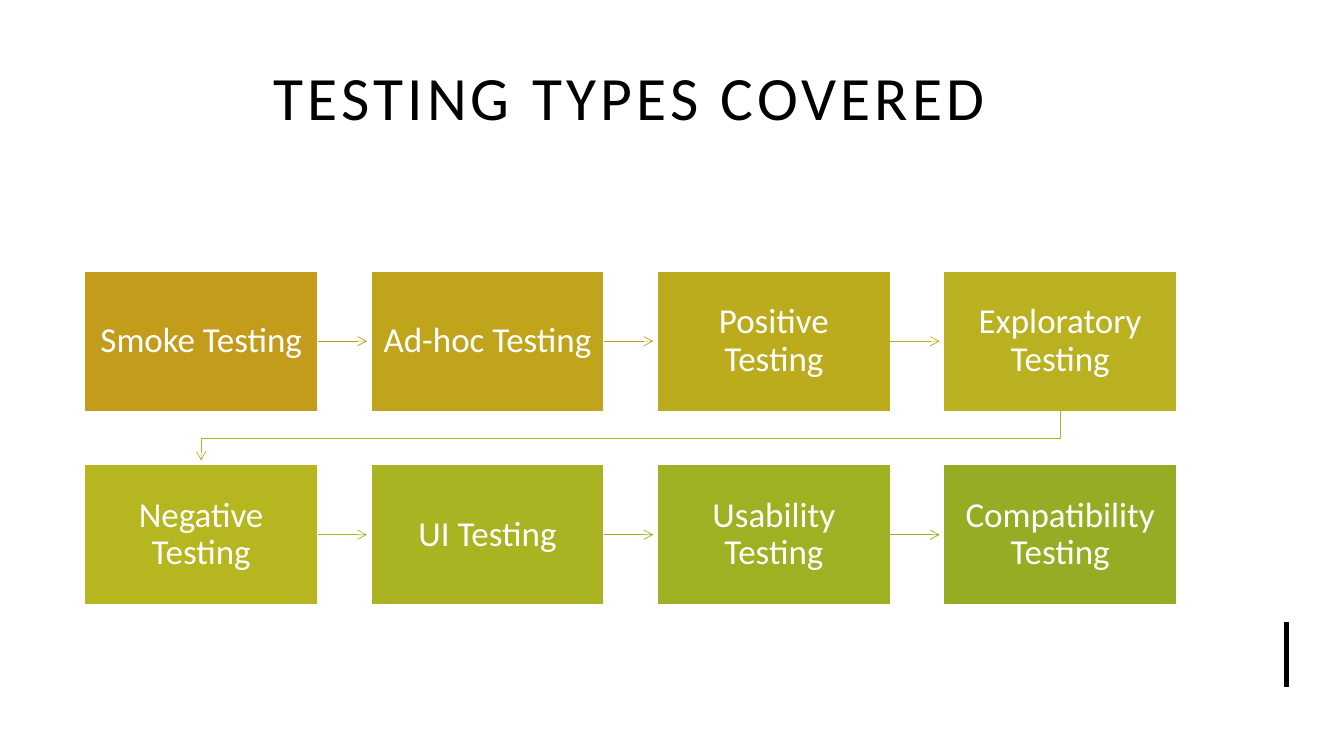
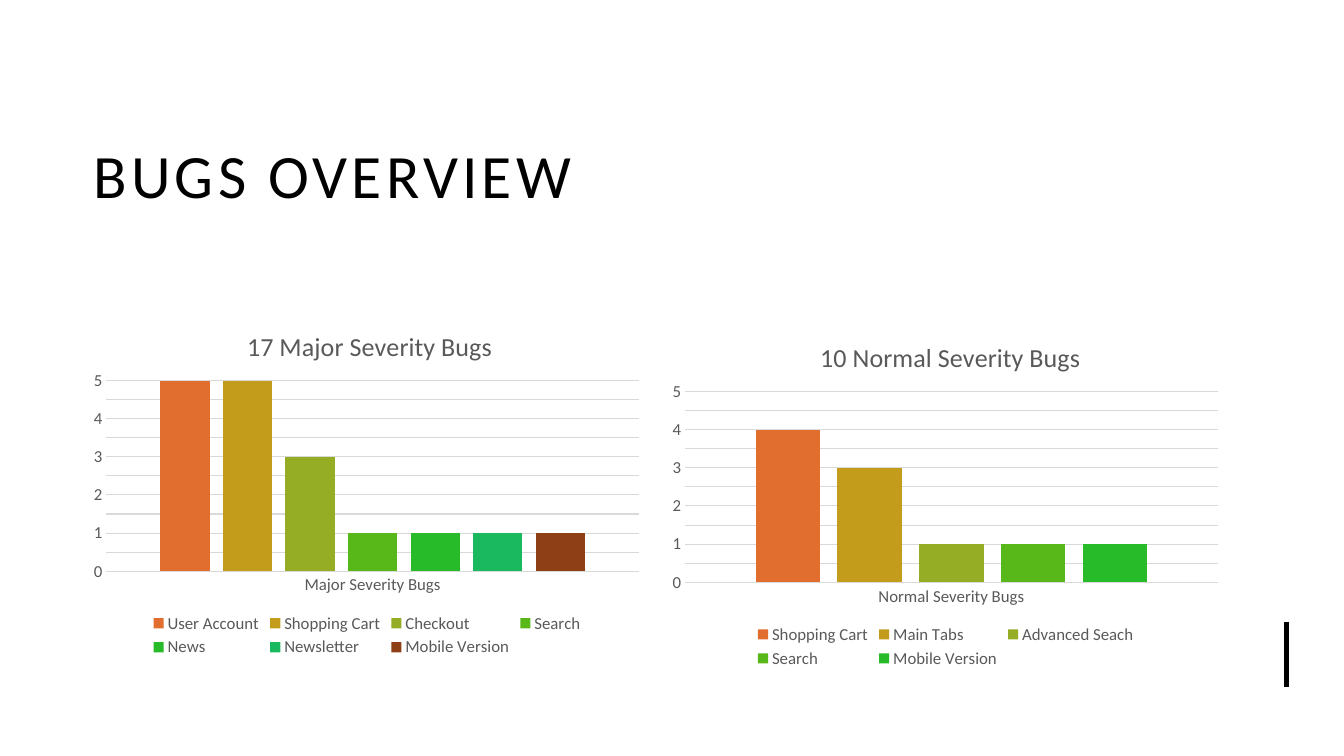
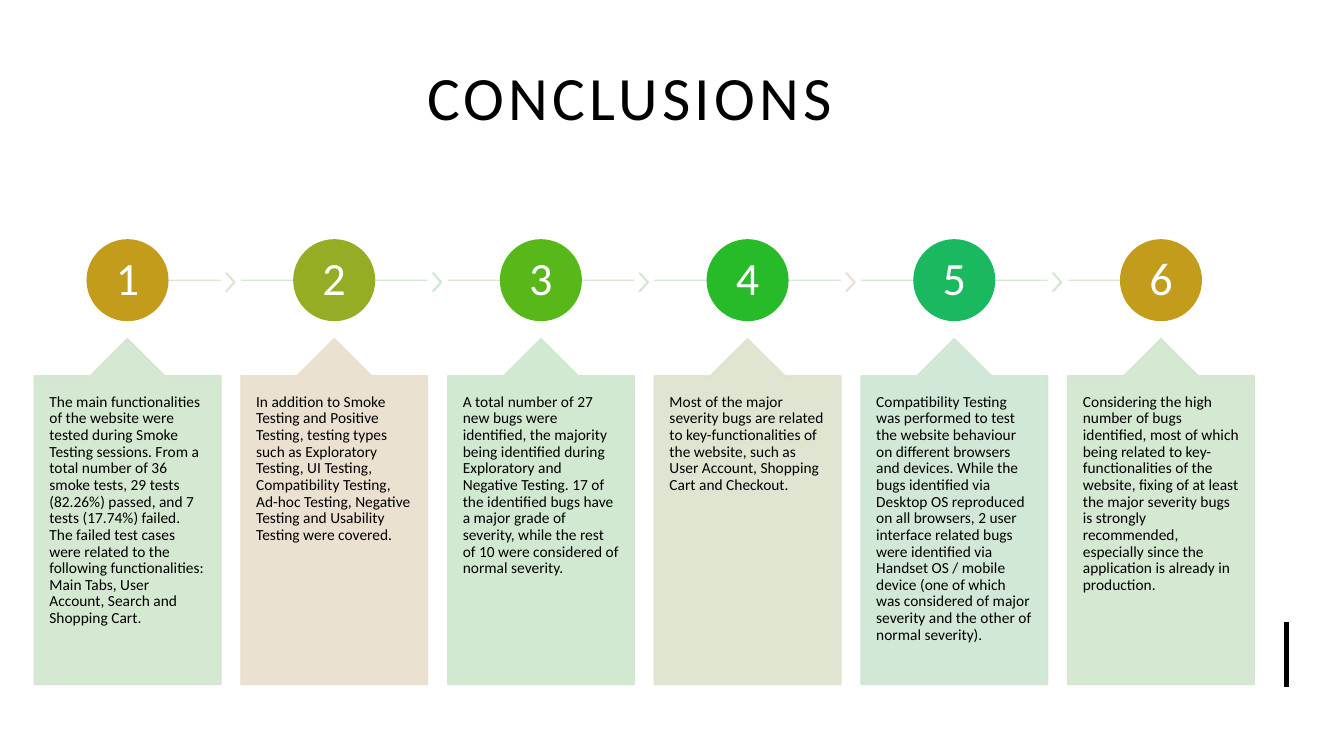
from copy import deepcopy

from lxml.etree import SubElement
from pptx import Presentation
from pptx.chart.data import CategoryChartData
from pptx.dml.color import RGBColor
from pptx.enum.chart import XL_CHART_TYPE, XL_LEGEND_POSITION, XL_TICK_MARK
from pptx.enum.shapes import MSO_CONNECTOR, MSO_SHAPE
from pptx.enum.text import MSO_ANCHOR, PP_ALIGN
from pptx.oxml import parse_xml
from pptx.oxml.ns import nsdecls, qn
from pptx.util import Inches, Pt

FONT = "Calibri"
COLORS = {
    "black": "000000", "white": "FFFFFF", "grey": "595959", "grid": "D9D9D9",
    "orange": "E16D2F", "gold": "C39C1B", "olive": "94AD24", "lime": "59B819",
    "green": "27BB29", "teal": "1AB95F", "brown": "8F3F15",
}
SERIES = ["orange", "gold", "olive", "lime", "green", "teal", "brown"]
STEPS = ["gold", "olive", "lime", "green", "teal"]
TINTS = ["E9DECD", "DCE3CD", "D1E6CC", "CDE7CD", "CDE6D2"]

TESTS = [
    ("Smoke Testing", "C39C1B"), ("Ad-hoc Testing", "C0A41C"),
    ("Positive Testing", "BDAB1E"), ("Exploratory Testing", "B9B11F"),
    ("Negative Testing", "B6B620"), ("UI Testing", "AAB322"),
    ("Usability Testing", "9FB023"), ("Compatibility Testing", "94AD24"),
]
ARROWS = ["C39C1B", "BFA51D", "BCAD1E", "B8B420", "AEB421", "A0B123", "94AD24"]

MAJOR = {"User Account": 5, "Shopping Cart": 5, "Checkout": 3, "Search": 1,
         "News": 1, "Newsletter": 1, "Mobile Version": 1}
NORMAL = {"Shopping Cart": 4, "Main Tabs": 3, "Advanced Seach": 1, "Search": 1,
          "Mobile Version": 1}

CONCLUSIONS = [
    "The main functionalities of the website were tested during Smoke Testing "
    "sessions. From a total number of 36 smoke tests, 29 tests (82.26%) passed, "
    "and 7 tests (17.74%) failed. The failed test cases were related to the "
    "following functionalities: Main Tabs, User Account, Search and Shopping Cart.",
    "In addition to Smoke Testing and Positive Testing, testing types such as "
    "Exploratory Testing, UI Testing, Compatibility Testing, Ad-hoc Testing, "
    "Negative Testing and Usability Testing were covered.",
    "A total number of 27 new bugs were identified, the majority being identified "
    "during Exploratory and Negative Testing. 17 of the identified bugs have a "
    "major grade of severity, while the rest of 10 were considered of normal "
    "severity.",
    "Most of the major severity bugs are related to key-functionalities of the "
    "website, such as User Account, Shopping Cart and Checkout.",
    "Compatibility Testing was performed to test the website behaviour on "
    "different browsers and devices. While the bugs identified via Desktop OS "
    "reproduced on all browsers, 2 user interface related bugs were identified "
    "via Handset OS / mobile device (one of which was considered of major "
    "severity and the other of normal severity).",
    "Considering the high number of bugs identified, most of which being related "
    "to key-functionalities of the website, fixing of at least the major severity "
    "bugs is strongly recommended, especially since the application is already in "
    "production.",
]


# Formatting helpers
def rgb(color):
    return RGBColor.from_string(COLORS.get(color, color))


def set_values(obj, values):
    for name, value in values.items():
        setattr(obj, name, value)


def set_font(font, size, color):
    set_values(font, {"name": FONT, "size": Pt(size), "bold": False})
    font.color.rgb = rgb(color)


def set_line(line, color, width):
    line.color.rgb = rgb(color)
    line.width = Pt(width)


def add_arrowhead(line):
    SubElement(line._get_or_add_ln(), qn("a:tailEnd"), type="arrow")


def set_opacity(shape, percent):
    for clr in list(shape._element.spPr.iter(qn("a:srgbClr"))):
        SubElement(clr, qn("a:alpha"), val=str(percent * 1000))


def write(shape, text, size, color, align=PP_ALIGN.CENTER,
          anchor=MSO_ANCHOR.MIDDLE, insets=(0.1, 0.05), spacing=0.9):
    tf = shape.text_frame
    x, y = map(Inches, insets)
    set_values(tf, {"word_wrap": True, "vertical_anchor": anchor,
                    "margin_left": x, "margin_right": x,
                    "margin_top": y, "margin_bottom": y})
    p = tf.paragraphs[0]
    set_values(p, {"alignment": align, "line_spacing": spacing})
    r = p.add_run()
    r.text = text
    set_font(r.font, size, color)
    return r


# Elements
def add_block(s, kind, box, fill, line, adjustments=()):
    sp = s.shapes.add_shape(kind, *map(Inches, box))
    sp.shadow.inherit = False
    sp.fill.solid()
    sp.fill.fore_color.rgb = rgb(fill)
    set_line(sp.line, line, 1)
    for i, value in enumerate(adjustments):
        sp.adjustments[i] = value
    return sp


def add_rule(s, x1, y1, x2, y2, color, width):
    c = s.shapes.add_connector(MSO_CONNECTOR.STRAIGHT,
                               *map(Inches, (x1, y1, x2, y2)))
    set_line(c.line, color, width)
    SubElement(c._element.spPr, qn("a:effectLst"))
    return c


def add_slide(prs, title, box, align=PP_ALIGN.CENTER):
    s = prs.slides.add_slide(prs.slide_layouts[6])
    r = write(s.shapes.add_textbox(*map(Inches, box)), title, 44, "black",
              align, spacing=1.0)
    r._r.get_or_add_rPr().set("spc", "300")
    add_rule(s, 12.76, 6.17, 12.76, 6.82, "black", 3)
    return s


def set_layout(parent, **fractions):
    old = parent.find(qn("c:layout"))
    index = 0
    if old is not None:
        index = parent.index(old)
        parent.remove(old)
    inner = '<c:layoutTarget val="inner"/>' if "w" in fractions else ""
    modes = "".join(f'<c:{k}Mode val="edge"/>' for k in "xy")
    sizes = "".join(f'<c:{k} val="{v}"/>' for k, v in fractions.items())
    parent.insert(index, parse_xml(
        f'<c:layout {nsdecls("c")}><c:manualLayout>{inner}{modes}{sizes}'
        '</c:manualLayout></c:layout>'))


def add_bug_chart(s, x, y, category, bugs, title_x):
    data = CategoryChartData()
    data.categories = [category]
    for name, count in bugs.items():
        data.add_series(name, [count])
    chart = s.shapes.add_chart(XL_CHART_TYPE.COLUMN_CLUSTERED,
                               *map(Inches, (x, y, 5.62, 3.57)), data).chart
    set_font(chart.font, 12, "grey")

    # Title and legend
    title = chart.chart_title
    p = title.text_frame.paragraphs[0]
    r = p.add_run()
    r.text = f"{sum(bugs.values())} {category}"
    set_font(r.font, 18.6, "grey")
    set_layout(title._element, x=title_x, y=0.06)
    chart.has_legend = True
    set_values(chart.legend, {"position": XL_LEGEND_POSITION.BOTTOM,
                              "include_in_layout": False})
    set_font(chart.legend.font, 12, "grey")

    # Columns
    plot = chart.plots[0]
    set_values(plot, {"gap_width": 219, "overlap": -27,
                      "vary_by_categories": False})
    for series, color in zip(plot.series, SERIES):
        series.format.fill.solid()
        series.format.fill.fore_color.rgb = rgb(color)

    # Axes
    for axis in (chart.category_axis, chart.value_axis):
        set_values(axis, {"major_tick_mark": XL_TICK_MARK.NONE,
                          "minor_tick_mark": XL_TICK_MARK.NONE})
        set_font(axis.tick_labels.font, 12, "grey")
    set_line(chart.category_axis.format.line, "grid", 0.75)
    values = chart.value_axis
    set_values(values, {"minimum_scale": 0, "maximum_scale": 5,
                        "major_unit": 1, "minor_unit": 0.5,
                        "has_major_gridlines": True,
                        "has_minor_gridlines": True})
    values.format.line.fill.background()
    set_line(values.major_gridlines.format.line, "grid", 0.75)
    major, minor = [values._element.find(qn(f"c:{k}Gridlines"))
                    for k in ("major", "minor")]
    minor.append(deepcopy(major.find(qn("c:spPr"))))
    set_layout(chart._chartSpace.chart.plotArea,
               x=0.04, y=0.22, w=0.94, h=0.53)


def add_turn_arrow(s, points, color):
    start, *rest = [(Inches(x), Inches(y)) for x, y in points]
    builder = s.shapes.build_freeform(*start)
    builder.add_line_segments(rest, close=False)
    sp = builder.convert_to_shape()
    sp.shadow.inherit = False
    sp.fill.background()
    set_line(sp.line, color, 0.5)
    add_arrowhead(sp.line)


# Slides
def build_testing_types(prs, title_box):
    s = add_slide(prs, "TESTING TYPES COVERED", title_box)
    w, h, cols = 2.31, 1.39, 4
    spots = [(0.84 + 2.84 * (i % cols), 2.69 + 1.92 * (i // cols))
             for i in range(len(TESTS))]
    boxes = []
    for (name, color), (x, y) in zip(TESTS, spots):
        sp = add_block(s, MSO_SHAPE.RECTANGLE, (x, y, w, h), color, "white")
        write(sp, name, 25, "white", insets=(0.11, 0.12))
        boxes.append(sp)
    for i, color in enumerate(ARROWS):
        (x, y), (next_x, next_y) = spots[i:i + 2]
        if y == next_y:
            mid = y + h / 2
            c = add_rule(s, x + w, mid, next_x - 0.04, mid, color, 0.5)
            c.begin_connect(boxes[i], 3)
            add_arrowhead(c.line)
        else:
            start_x, end_x, turn = x + w / 2, next_x + w / 2, (y + h + next_y) / 2
            add_turn_arrow(s, [(start_x, y + h), (start_x, turn), (end_x, turn),
                               (end_x, next_y - 0.04)], color)


def build_bugs(prs):
    s = add_slide(prs, "BUGS OVERVIEW", (0.83, 0.94, 11.35, 1.57), PP_ALIGN.LEFT)
    add_bug_chart(s, 0.83, 2.99, "Major Severity Bugs", MAJOR, 0.28)
    add_bug_chart(s, 6.57, 3.1, "Normal Severity Bugs", NORMAL, 0.27)


def build_conclusions(prs, title_box):
    s = add_slide(prs, "CONCLUSIONS", title_box)
    w, d, axis_y = 1.85, 0.8, 2.78
    last = len(CONCLUSIONS) - 1
    for i, text in enumerate(CONCLUSIONS):
        x = 0.34 + 2.05 * i
        mid = x + w / 2
        bar, chevron, card = [TINTS[(3 * i + k) % len(TINTS)] for k in range(3)]
        # Timeline
        left, right = (x if i else mid), (x + w if i < last else mid)
        set_opacity(add_rule(s, left, axis_y, right, axis_y, bar, 1), 90)
        if i < last:
            set_opacity(add_block(s, MSO_SHAPE.CHEVRON, (x + 1.9, 2.71, 0.09, 0.18),
                                  chevron, chevron, [0.9]), 90)
        # Number
        color = STEPS[i % len(STEPS)]
        sp = add_block(s, MSO_SHAPE.OVAL, (mid - d / 2, axis_y - d / 2, d, d),
                       color, color)
        write(sp, str(i + 1), 33, "white", insets=(0.03, 0.03))
        # Card
        sp = add_block(s, MSO_SHAPE.UP_ARROW_CALLOUT, (x, 3.36, w, 3.43),
                       card, card, [0.5, 0.2, 0.2, 1])
        set_opacity(sp, 90)
        write(sp, text, 11, "black", PP_ALIGN.LEFT, MSO_ANCHOR.TOP, (0.15, 0.18))


def main():
    prs = Presentation()
    set_values(prs, {"slide_width": Inches(13.33), "slide_height": Inches(7.5)})
    top_title = (0.83, 0.32, 10.83, 1.27)
    build_testing_types(prs, top_title)
    build_bugs(prs)
    build_conclusions(prs, top_title)
    prs.save("out.pptx")


if __name__ == "__main__":
    main()
